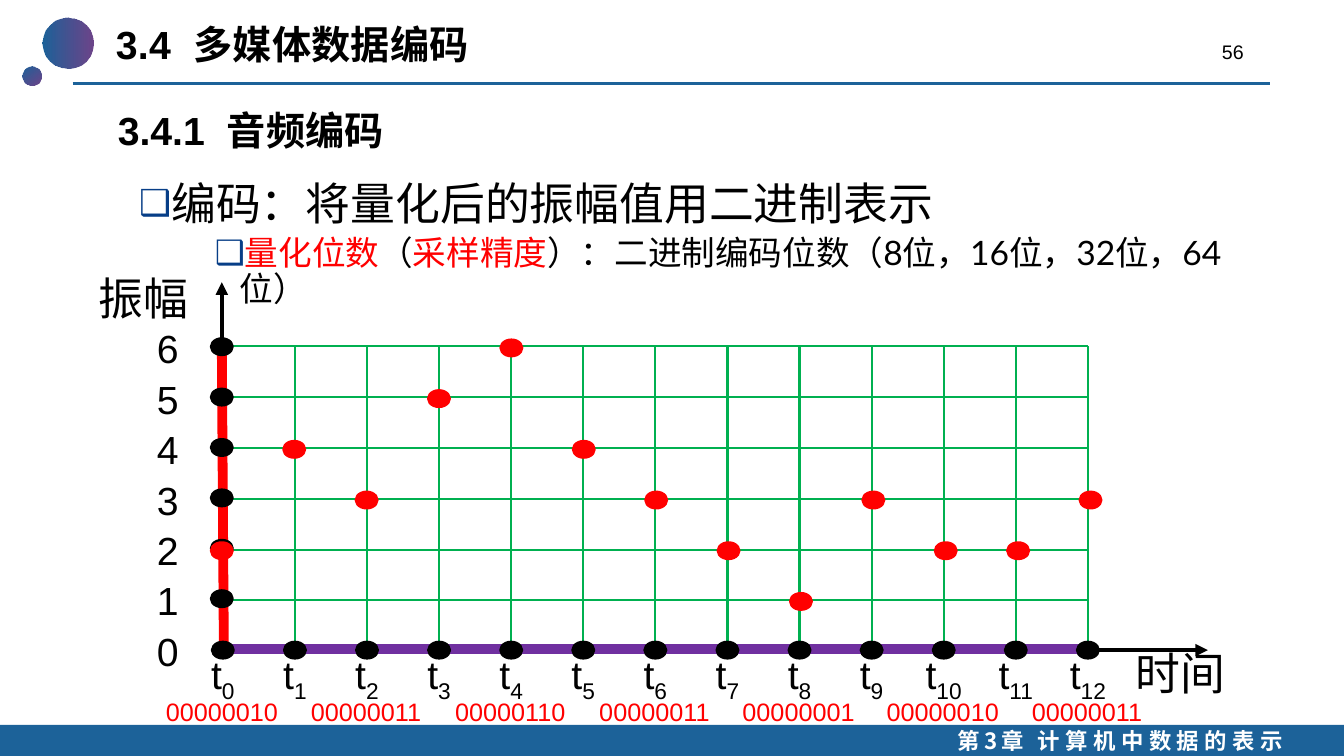
"""Build the audio encoding slide with its sampled amplitude grid."""
from lxml.etree import SubElement as Sub
from pptx import Presentation
from pptx.dml.color import RGBColor as RGB
from pptx.enum.shapes import MSO_CONNECTOR as Link, MSO_SHAPE as Form
from pptx.enum.text import MSO_ANCHOR as Anchor, MSO_AUTO_SIZE as Fit, PP_ALIGN as Align
from pptx.oxml.ns import qn
from pptx.util import Inches, Pt

HUES = {
    "black": "000000", "white": "FFFFFF", "red": "FF0000", "green": "00B050",
    "purple": "7030A0", "blue": "1C6299", "plum": "5C307D", "navy": "073E87",
}
HAN = "Noto Sans CJK SC"


def hue(name):
    return RGB.from_string(HUES[name])


def add_run(para, text, size, tint="black", face="Arial", bold=False, gap=0, base=0):
    run = para.add_run()
    run.text = text
    run.font.size = Pt(size)
    run.font.name = face
    run.font.bold = bold
    run.font.color.rgb = hue(tint)
    props = run._r.get_or_add_rPr()
    Sub(props, qn("a:ea")).set("typeface", HAN)
    if gap:
        props.set("spc", str(int(gap * 100)))
    if base:
        props.set("baseline", str(base * 1000))


deck = Presentation()
deck.slide_width, deck.slide_height = Inches(13.33), Inches(7.5)
slide = deck.slides.add_slide(deck.slide_layouts[1])
shapes = slide.shapes

title = shapes.title
title.left, title.top = Inches(1.15), Inches(0.11)
title.width, title.height = Inches(4.31), Inches(0.61)
frame = title.text_frame
frame.auto_size = Fit.NONE
frame.margin_left = 0
frame.vertical_anchor = Anchor.BOTTOM
para = frame.paragraphs[0]
para.alignment = Align.LEFT
para.line_spacing = 0.9
for text, gap in [("3.4", 0.2), (" ", 8), ("多媒体数据编码", 0.2)]:
    add_run(para, text, 28, bold=True, gap=gap)

body = slide.placeholders[1]
body.left, body.top = Inches(0.68), Inches(1.59)
body.width, body.height = Inches(12), Inches(1.67)
frame = body.text_frame
frame.auto_size = Fit.NONE
frame.vertical_anchor = Anchor.TOP
points = [
    (0.9, -0.3, 1.2, 32, 80, [("编码：将量化后的振幅值用二进制表示", "black")]),
    (1.6, -0.25, 0.9, 24, 100, [
        ("量化位数", "red"), ("（", "black"), ("采样精度", "red"),
        ("）：二进制编码位数（8位，16位，32位，64位）", "black")]),
]
for rank, (left, hang, space, size, scale, parts) in enumerate(points):
    para = frame.add_paragraph() if rank else frame.paragraphs[0]
    para.level = rank + 1
    para.line_spacing = space
    para.space_before = Pt(size * 0.2)
    props = para._p.get_or_add_pPr()
    props.set("marL", str(Inches(left)))
    props.set("indent", str(Inches(hang)))
    tint = Sub(props, qn("a:buClr"))
    Sub(tint, qn("a:srgbClr")).set("val", HUES["navy"])
    Sub(props, qn("a:buSzPct")).set("val", str(scale * 1000))
    Sub(props, qn("a:buChar")).set("char", "❑")
    for text, tone in parts:
        add_run(para, text, size, tone, "Lato")

bar = shapes.add_shape(Form.RECTANGLE, 0, Inches(7.19), Inches(13.33), Inches(0.31))
bar.shadow.inherit = False
bar.fill.solid()
bar.fill.fore_color.rgb = hue("blue")
bar.line.fill.background()

for left, top, size, angle in [(0.42, 0.17, 0.51, 0), (0.22, 0.66, 0.19, 310)]:
    ball = shapes.add_shape(
        Form.OVAL, Inches(left), Inches(top), Inches(size), Inches(size))
    ball.shadow.inherit = False
    ball.line.fill.background()
    ball.fill.gradient()
    ball.fill.gradient_angle = angle
    for stop, tint, spot in zip(ball.fill.gradient_stops, ("blue", "plum"), (0, 1)):
        stop.color.rgb = hue(tint)
        stop.position = spot
    tone = ball.element.spPr.findall(".//" + qn("a:srgbClr"))[-1]
    Sub(tone, qn("a:alpha")).set("val", "90000")

STEP = 0.715
amps = [2, 4, 3, 5, 6, 4, 3, 2, 1, 3, 2, 2, 3]
times = [2.21 + STEP * i for i in range(len(amps))]

lines = [
    (0.72, 0.83, 12.6, 0.83, "blue", 1.75, False),
    (2.2, 6.45, 2.2, 2.8, "black", 3, True),
    (2.2, 6.45, 11.98, 6.45, "black", 3, True),
    (2.2, 6.44, 10.77, 6.44, "purple", 7, False),
    (2.2, 3.44, 2.22, 6.37, "red", 7, False),
]
lines += [(x, 6.43, x, 3.43, "green", 1.5, False) for x in times[1:]]
for amp in range(1, 7):
    y = 6.46 - 0.504 * amp
    lines.append((2.21, y, 10.79, y, "green", 1.5, False))
for x1, y1, x2, y2, tint, width, arrow in lines:
    line = shapes.add_connector(
        Link.STRAIGHT, Inches(x1), Inches(y1), Inches(x2), Inches(y2))
    line.line.color.rgb = hue(tint)
    line.line.width = Pt(width)
    props = line.element.spPr
    if arrow:
        Sub(props.find(qn("a:ln")), qn("a:tailEnd")).set("type", "triangle")
    Sub(props, qn("a:effectLst"))

dots = [(x, 6.45, "black") for x in times]
dots += [(2.2, 6.44 - 0.5 * amp, "black") for amp in range(1, 7)]
dots += [(2.2 + 0.718 * i, 6.47 - 0.503 * amp, "red") for i, amp in enumerate(amps)]
for x, y, tint in dots:
    dot = shapes.add_shape(
        Form.OVAL, Inches(x - 0.105), Inches(y - 0.08), Inches(0.21), Inches(0.16))
    dot.shadow.inherit = False
    dot.fill.solid()
    dot.fill.fore_color.rgb = hue(tint)
    dot.line.color.rgb = hue(tint)
    dot.line.width = Pt(2)

heads = [
    (1.07, 1.01, 6.67, 0.57, [
        ("3.4.1", 28, "black", "Arial", True),
        (" ", 28, "black", "Arial", True, 8),
        ("音频编码", 28, "black", "Arial", True)]),
    (12.02, 0.35, 0.58, 0.34, [("56", 14)]),
    (9.4, 7.16, 3.85, 0.37, [
        ("第3章 ", 16, "white", HAN, True, 3),
        ("计算机中数据的表示", 16, "white", HAN, True, 4)]),
]
marks = [
    (0.87, 2.63, 1.1, 0.64, [("振幅", 32, "black", HAN)]),
    (11.16, 6.35, 1.1, 0.64, [("时间", 32, "black", HAN)]),
]
for amp in range(7):
    marks.append((1.4, 6.17 - 0.5 * amp, 0.53, 0.57, [(str(amp), 28)]))
for i, (x, amp) in enumerate(zip(times, amps)):
    marks.append((x - 0.3, 6.43, 0.6, 0.57, [
        ("t", 28), (str(i), 28, "black", "Arial", False, 0, -25)]))
    if i % 2 == 0:
        marks.append((x - 0.67, 6.86, 1.32, 0.4, [(f"{amp:08b}", 18, "red")]))
for group, align, anchor in [
        (heads, Align.LEFT, Anchor.TOP), (marks, Align.CENTER, Anchor.MIDDLE)]:
    for left, top, width, height, parts in group:
        box = shapes.add_textbox(
            Inches(left), Inches(top), Inches(width), Inches(height))
        frame = box.text_frame
        frame.word_wrap = False
        frame.vertical_anchor = anchor
        para = frame.paragraphs[0]
        para.alignment = align
        for part in parts:
            add_run(para, *part)

deck.save("out.pptx")
